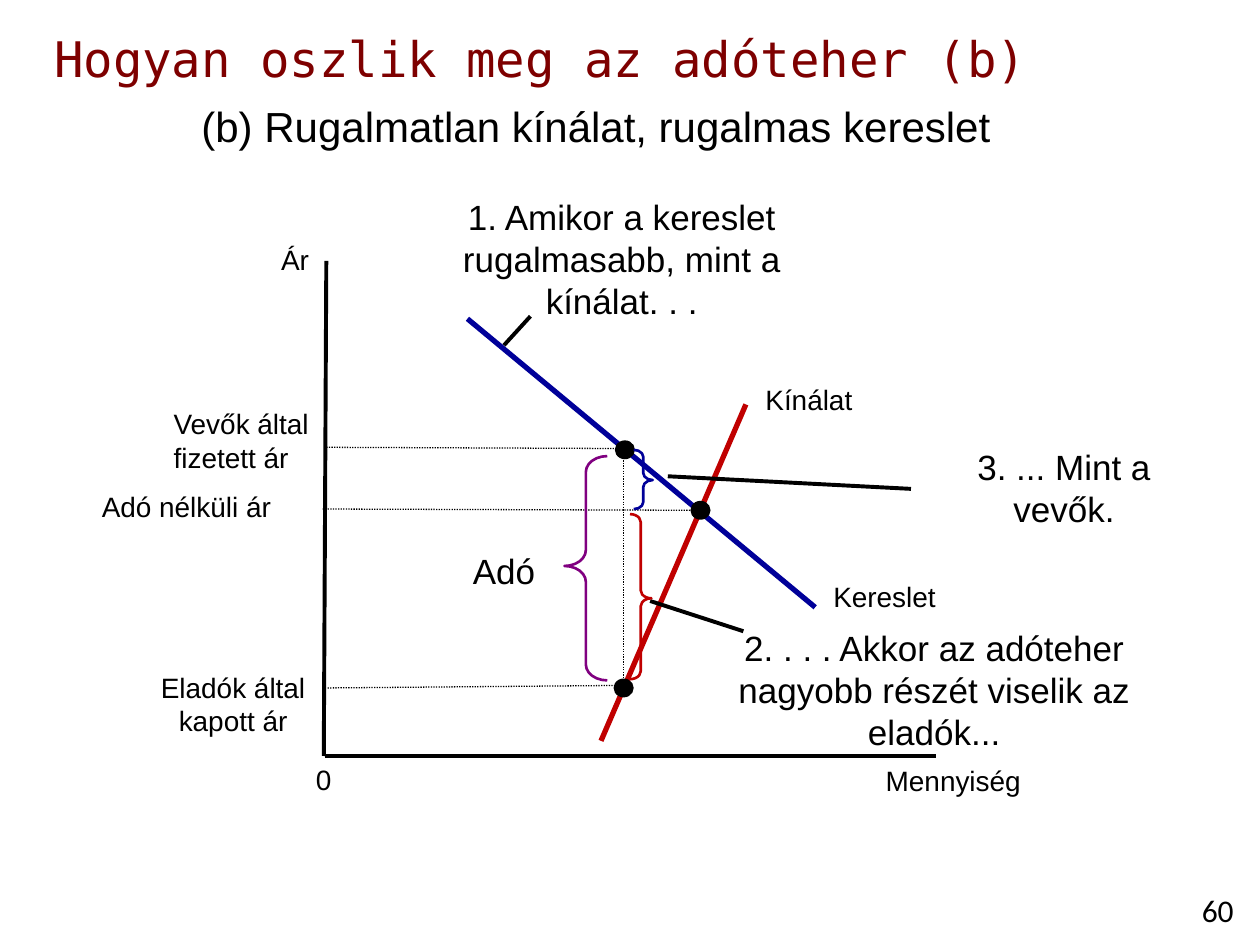
from pptx import Presentation
from pptx import util as u
from pptx.dml.color import RGBColor
from pptx.enum import dml, shapes, text
from pptx.oxml.ns import qn
from lxml import etree

BLACK = RGBColor(0, 0, 0)
MAROON = RGBColor(0x7E, 0, 0)
BLUE = RGBColor(0, 0, 0x99)
RED = RGBColor(0xC0, 0, 0)
PURPLE = RGBColor(0x80, 0, 0x80)
LEFT, CENTER, RIGHT = text.PP_ALIGN.LEFT, text.PP_ALIGN.CENTER, text.PP_ALIGN.RIGHT

TITLE = "Hogyan oszlik meg az adóteher (b)"

# Text, (left, top, width, height), size, alignment, wrap
LABELS = [
    ("(b) Rugalmatlan kínálat, rugalmas kereslet", (1.5, 0.75, 6.53, 0.5), 24, LEFT, False),
    ("Ár", (1.74, 1.88, 0.81, 0.37), 16, RIGHT, True),
    ("Mennyiség", (6.84, 6.01, 1.36, 0.37), 16, RIGHT, True),
    ("0", (2.41, 6, 0.33, 0.37), 16, LEFT, False),
    ("Kereslet", (6.51, 4.55, 1.02, 0.37), 16, CENTER, False),
    ("Kínálat", (5.97, 2.99, 0.9, 0.37), 16, CENTER, False),
    ("Vevők által\nfizetett ár", (1.28, 3.18, 1.29, 0.64), 16, LEFT, False),
    ("Adó nélküli ár", (0.71, 3.84, 1.56, 0.37), 16, LEFT, False),
    ("Eladók által\nkapott ár", (1.14, 5.27, 1.42, 0.64), 16, CENTER, False),
    ("Adó", (3.59, 4.31, 0.82, 0.44), 20, CENTER, True),
    ("1. Amikor a kereslet rugalmasabb, mint a kínálat. . .",
     (3.25, 1.5, 3.37, 1.11), 20, CENTER, True),
    ("3. ... Mint a vevők.", (7.23, 3.49, 2.43, 0.77), 20, CENTER, True),
    ("2. . . . Akkor az adóteher nagyobb részét viselik az eladók...",
     (5.58, 4.92, 3.67, 1.11), 20, CENTER, True),
]
PAGE_NUMBER = ("60", (9.33, 7.02, 0.67, 0.4), 18, CENTER, True)

# Lines as (x1, y1, x2, y2)
AXES = [(2.59, 2.07, 2.57, 6), (2.58, 6, 7.43, 6)]
DEMAND = (3.71, 2.53, 6.47, 4.82)
SUPPLY = (4.77, 5.88, 5.92, 3.21)
GUIDES = [(4.95, 3.53, 4.95, 5.47), (2.59, 3.55, 4.97, 3.56),
          (2.56, 4.04, 5.57, 4.05), (2.6, 5.46, 4.95, 5.44)]
POINTERS = [(4.21, 2.51, 4, 2.74), (5.3, 3.78, 7.23, 3.88), (5.16, 4.77, 5.9, 5.01)]

# Dot centres, and braces as box, colour, rotation
DOTS = [(5.56, 4.05), (4.96, 3.57), (4.95, 5.46)]
DOT_W, DOT_H = 0.16, 0.15
BRACES = [((4.48, 3.62, 0.34, 1.78), PURPLE, 0),
          ((5.03, 3.57, 0.15, 0.47), BLUE, 180),
          ((5, 4.08, 0.17, 1.31), RED, 180)]


def inches(values):
    return [u.Inches(v) for v in values]


def set_font(p, name, size, color):
    for r in p.runs:
        r.font.name, r.font.size = name, u.Pt(size)
        r.font.color.rgb = color


def add_label(s, words, box, size, align, wrap, font="Arial"):
    tf = s.shapes.add_textbox(*inches(box)).text_frame
    tf.word_wrap = wrap
    tf.text = words
    for p in tf.paragraphs:
        p.alignment = align
        set_font(p, font, size, BLACK)


def add_line(s, ends, color, width, dash=None):
    line = s.shapes.add_connector(shapes.MSO_CONNECTOR.STRAIGHT, *inches(ends))
    line.line.color.rgb = color
    line.line.width = u.Pt(width)
    if dash:
        line.line.dash_style = dash
    etree.SubElement(line._element.spPr, qn("a:effectLst"))


def add_dot(s, x, y):
    box = (x - DOT_W / 2, y - DOT_H / 2, DOT_W, DOT_H)
    dot = s.shapes.add_shape(shapes.MSO_SHAPE.OVAL, *inches(box))
    dot.shadow.inherit = False
    dot.fill.solid()
    dot.fill.fore_color.rgb = BLACK
    dot.line.fill.background()


def add_brace(s, box, color, rotation):
    brace = s.shapes.add_shape(shapes.MSO_SHAPE.LEFT_BRACE, *inches(box))
    brace.shadow.inherit = False
    brace.adjustments[0], brace.adjustments[1] = 0.37, 0.49
    brace.rotation = rotation
    brace.fill.background()
    brace.line.color.rgb = color
    brace.line.width = u.Pt(1.5)


def main():
    prs = Presentation()
    prs.slide_width, prs.slide_height = u.Inches(10), u.Inches(7.5)
    s = prs.slides.add_slide(prs.slide_layouts[5])

    # Title
    title = s.shapes.title
    title.left, title.top, title.width, title.height = inches((0.33, 0.17, 9.67, 0.58))
    tf = title.text_frame
    tf.text = TITLE
    tf.vertical_anchor = text.MSO_ANCHOR.MIDDLE
    tf.paragraphs[0].alignment = LEFT
    set_font(tf.paragraphs[0], "DejaVu Sans Mono", 28, MAROON)

    # Axes, curves and guides
    for ends in AXES:
        add_line(s, ends, BLACK, 2.25)
    add_line(s, DEMAND, BLUE, 3)
    for ends in GUIDES:
        add_line(s, ends, BLACK, 0.75, dml.MSO_LINE.ROUND_DOT)
    add_line(s, SUPPLY, RED, 3)

    # Equilibrium points
    for x, y in DOTS:
        add_dot(s, x, y)

    # Labels with their pointers, then the tax braces
    for label in LABELS:
        add_label(s, *label)
    add_label(s, *PAGE_NUMBER, font="Calibri")
    for ends in POINTERS:
        add_line(s, ends, BLACK, 2.25)
    for brace in BRACES:
        add_brace(s, *brace)

    prs.save("out.pptx")


if __name__ == "__main__":
    main()
